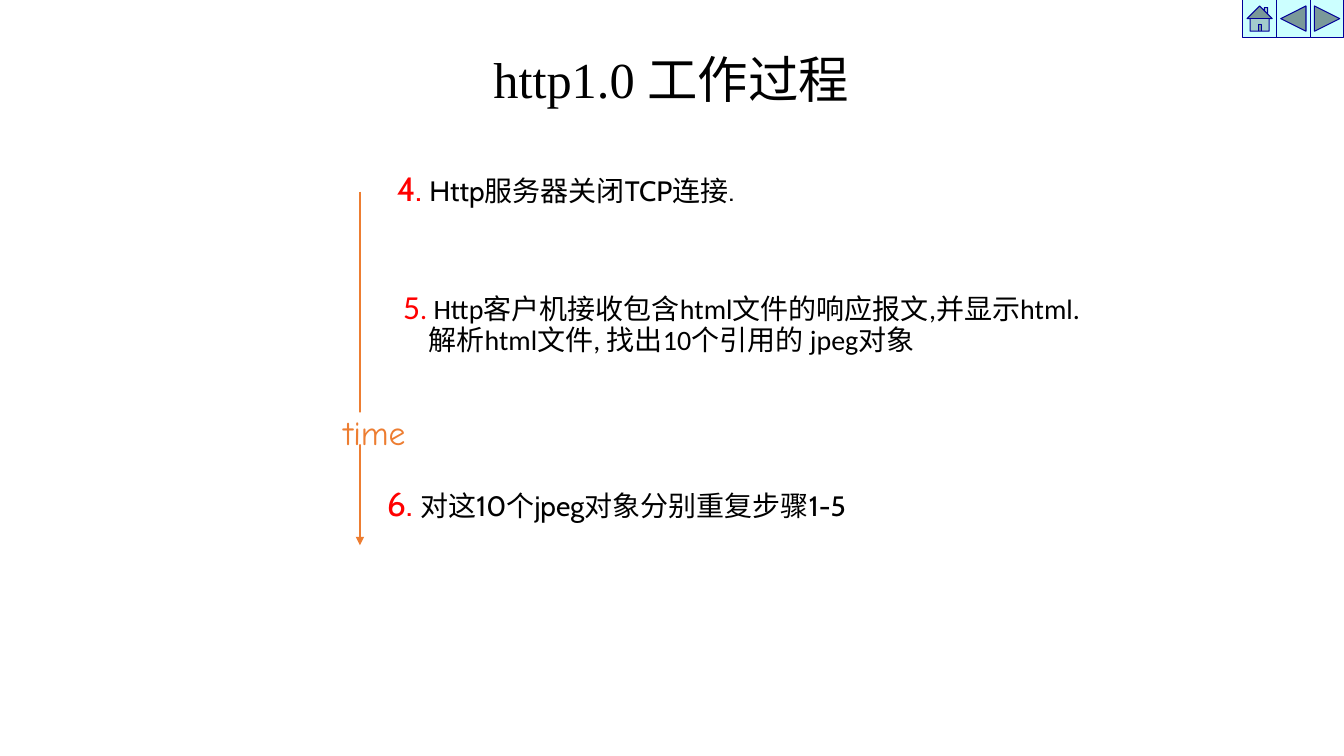
from lxml.etree import SubElement
from pptx import Presentation
from pptx.dml.color import RGBColor
from pptx.enum.shapes import MSO_CONNECTOR, MSO_SHAPE
from pptx.enum.text import MSO_ANCHOR, PP_ALIGN
from pptx.oxml.ns import qn
from pptx.util import Cm, Pt

COLORS = {
    "white": "FFFFFF",
    "black": "000000",
    "red": "FF0000",
    "orange": "ED7D31",
    "aqua": "CCFFFF",
    "navy": "000099",
}


def color(name):
    return RGBColor.from_string(COLORS[name])


def add_text(left, top, width, height, parts, font, indent=0):
    """Add a text box; parts hold (text, size, colour), and None breaks the line."""
    box = slide.shapes.add_textbox(Cm(left), Cm(top), Cm(width), Cm(height))
    frame = box.text_frame
    frame.word_wrap = True
    frame.vertical_anchor = MSO_ANCHOR.TOP
    para = frame.paragraphs[0]
    if indent:
        props = para._p.get_or_add_pPr()
        props.set("marL", str(Cm(indent)))
        props.set("indent", str(-Cm(indent)))
    for part in parts:
        if part is None:
            para.add_line_break()
            continue
        text, size, tint = part
        run = para.add_run()
        run.text = text
        run.font.name = font
        run.font.size = Pt(size)
        run.font.color.rgb = color(tint)
    return box


deck = Presentation()
deck.slide_width, deck.slide_height = Cm(33.87), Cm(19.05)
slide = deck.slides.add_slide(deck.slide_layouts[6])

# Navigation buttons
buttons = [
    MSO_SHAPE.ACTION_BUTTON_HOME,
    MSO_SHAPE.ACTION_BUTTON_BACK_OR_PREVIOUS,
    MSO_SHAPE.ACTION_BUTTON_FORWARD_OR_NEXT,
]
side = 0.85
for i, kind in enumerate(buttons):
    button = slide.shapes.add_shape(kind, Cm(31.32 + i * side), Cm(0), Cm(side), Cm(0.94))
    button.shadow.inherit = False
    button.fill.solid()
    button.fill.fore_color.rgb = color("aqua")
    button.line.color.rgb = color("navy")
    button.line.width = Pt(0.75)

# Title and steps
title = add_text(6.12, 1.27, 21.59, 3.18, [("http1.0 工作过程", 36, "black")], "Times New Roman")
title.text_frame.paragraphs[0].alignment = PP_ALIGN.CENTER
title.text_frame.paragraphs[0].line_spacing = 0.9

parse_step = [
    ("5", 24, "red"),
    (".", 20, "red"),
    (" Http客户机接收包含html文件的响应报文,并显示html.", 20, "black"),
    None,
    ("解析html文件, 找出10个引用的 jpeg对象", 20, "black"),
]
body = add_text(9.91, 7.19, 19.76, 3.76, parse_step, "Calibri", 0.64)
body.text_frame.paragraphs[0].line_spacing = 0.9
body.fill.solid()
body.fill.fore_color.rgb = color("white")

steps = [
    (9.5, 12.04, 19.66, 1.85, "6. ", "对这10个jpeg对象分别重复步骤1-5"),
    (9.75, 4.11, 10.59, 2.03, "4. ", "Http服务器关闭TCP连接."),
]
for left, top, width, height, number, text in steps:
    parts = [(number, 24, "red"), (text, 20, "black")]
    add_text(left, top, width, height, parts, "Cabin", 0.95)

# Time arrow with its label
axis = slide.shapes.add_connector(
    MSO_CONNECTOR.STRAIGHT, Cm(9.07), Cm(4.83), Cm(9.07), Cm(13.74))
axis.line.color.rgb = color("orange")
axis.line.width = Pt(1.5)
SubElement(axis.line._get_or_add_ln(), qn("a:tailEnd"), type="triangle")
SubElement(axis._element.spPr, qn("a:effectLst"))

gap = slide.shapes.add_shape(MSO_SHAPE.RECTANGLE, Cm(8.41), Cm(10.39), Cm(0.97), Cm(0.81))
gap.shadow.inherit = False
gap.fill.solid()
gap.fill.fore_color.rgb = color("white")
gap.line.fill.background()

label = add_text(8.31, 10.26, 2.26, 1.27, [("time", 24, "orange")], "Comic Neue")
label.text_frame.word_wrap = False
label.text_frame.paragraphs[0].alignment = PP_ALIGN.CENTER

deck.save("out.pptx")
